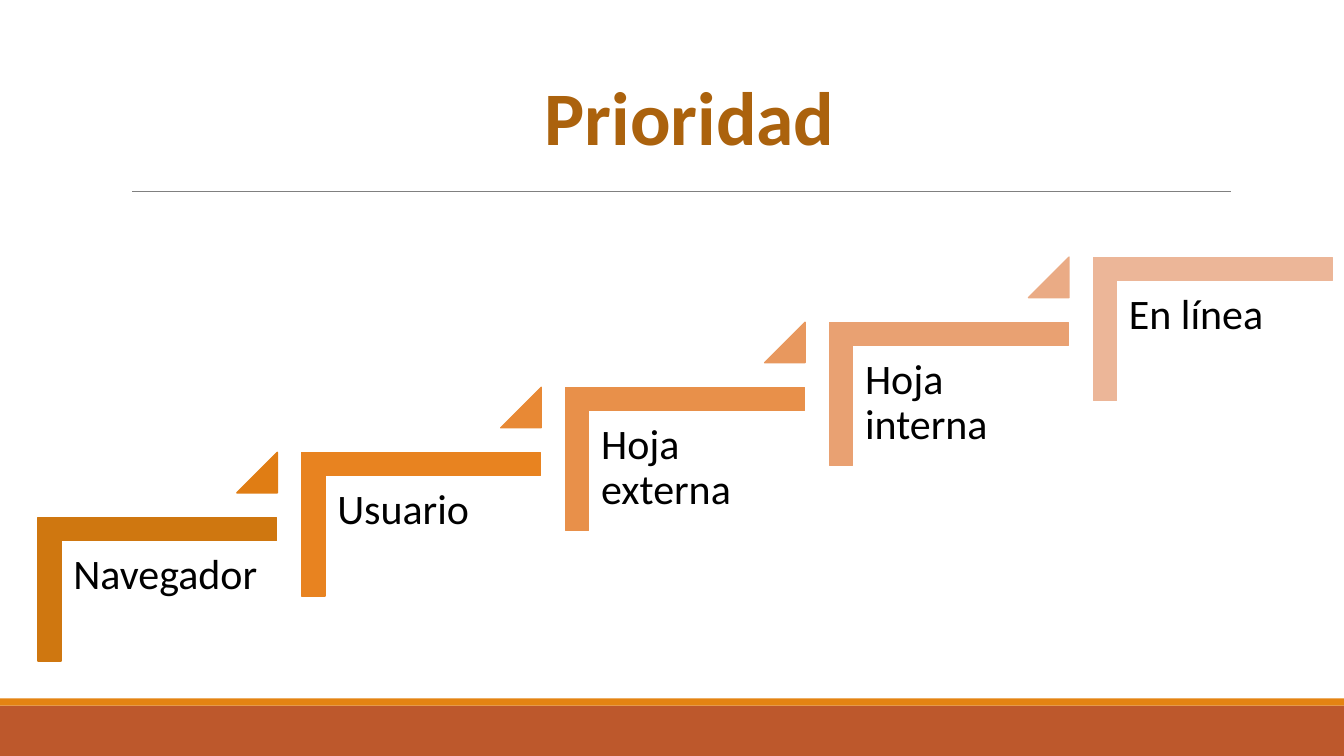
"""Build the slide that shows style priority as a rising staircase."""
from pptx import Presentation
from pptx.dml.color import RGBColor
from pptx.enum import shapes, text
from pptx.oxml.ns import qn
from pptx.util import Cm, Pt
from lxml import etree

TITLE = "Prioridad "
STEPS = [
    ("Navegador", "CF7710", "E07D14"),
    ("Usuario", "E88320", "E88935"),
    ("Hoja externa", "E8904A", "E8985E"),
    ("Hoja interna", "E9A172", "EAAB85"),
    ("En línea", "ECB698", None),
]
COLORS = {"title": "AB620D", "text": "000000", "rule": "808080",
          "band": "BD582C", "stripe": "E48312"}
FONT = "Calibri"
WIDTH, HEIGHT = 33.87, 19.05
STEP_RIGHT, STEP_UP = 6.65, 1.64
CORNER = (2.16, 11.84, 3.61, 6.02)
TRIANGLE = (5.97, 11.4, 1.02, 1.02)
LABEL = (1.55, 13.64, 5.44, 4.75)


def lengths(box):
    return [Cm(value) for value in box]


def on_step(box, index):
    left, top, width, height = box
    return left + index * STEP_RIGHT, top - index * STEP_UP, width, height


def write(shape, words, size, color, bold=False, align=text.PP_ALIGN.LEFT,
          spacing=1.0, inset=None):
    frame = shape.text_frame
    frame.word_wrap = True
    frame.vertical_anchor = text.MSO_ANCHOR.TOP
    if inset is not None:
        frame.margin_left = frame.margin_right = Cm(inset)
        frame.margin_top = frame.margin_bottom = Cm(inset)
    paragraph = frame.paragraphs[0]
    paragraph.alignment = align
    paragraph.line_spacing = spacing
    run = paragraph.add_run()
    run.text = words
    run.font.name = FONT
    run.font.size = Pt(size)
    run.font.bold = bold
    run.font.color.rgb = RGBColor.from_string(color)


def add_block(slide, kind, box, color, outlined=True):
    shape = slide.shapes.add_shape(kind, *lengths(box))
    shape.shadow.inherit = False
    shape.fill.solid()
    shape.fill.fore_color.rgb = RGBColor.from_string(color)
    if outlined:
        shape.line.color.rgb = RGBColor.from_string(color)
        shape.line.width = Pt(1)
    else:
        shape.line.fill.background()
    return shape


def add_rule(slide, start, end, y):
    rule = slide.shapes.add_connector(
        shapes.MSO_CONNECTOR.STRAIGHT, *lengths((start, y, end, y)))
    rule.line.color.rgb = RGBColor.from_string(COLORS["rule"])
    rule.line.width = Pt(0.5)
    etree.SubElement(rule._element.spPr, qn("a:effectLst"))


def add_step(slide, index, label, corner_color, triangle_color):
    kinds = shapes.MSO_SHAPE
    corner = add_block(slide, kinds.CORNER, on_step(CORNER, index), corner_color)
    corner.rotation = 90
    corner.adjustments[0] = corner.adjustments[1] = 0.161
    box = slide.shapes.add_textbox(*lengths(on_step(LABEL, index)))
    write(box, label, 30, COLORS["text"], spacing=0.9, inset=0.3)
    if triangle_color:
        triangle = add_block(slide, kinds.ISOSCELES_TRIANGLE,
                             on_step(TRIANGLE, index), triangle_color)
        triangle.adjustments[0] = 1


def main():
    presentation = Presentation()
    presentation.slide_width, presentation.slide_height = Cm(WIDTH), Cm(HEIGHT)
    slide = presentation.slides.add_slide(presentation.slide_layouts[5])
    for placeholder in list(slide.placeholders):
        if placeholder != slide.shapes.title:
            placeholder._element.getparent().remove(placeholder._element)

    rectangle = shapes.MSO_SHAPE.RECTANGLE
    add_block(slide, rectangle, (0, 17.78, WIDTH, 1.27), COLORS["band"], False)
    add_block(slide, rectangle, (0, 17.6, WIDTH, 0.18), COLORS["stripe"], False)
    add_rule(slide, 3.33, 31.01, 4.83)

    title = slide.shapes.title
    title.left, title.top, title.width, title.height = lengths((6, 1.63, 23.19, 2.57))
    write(title, TITLE, 54, COLORS["title"], bold=True, align=text.PP_ALIGN.CENTER)

    for index, step in enumerate(STEPS):
        add_step(slide, index, *step)
    presentation.save("out.pptx")


if __name__ == "__main__":
    main()
